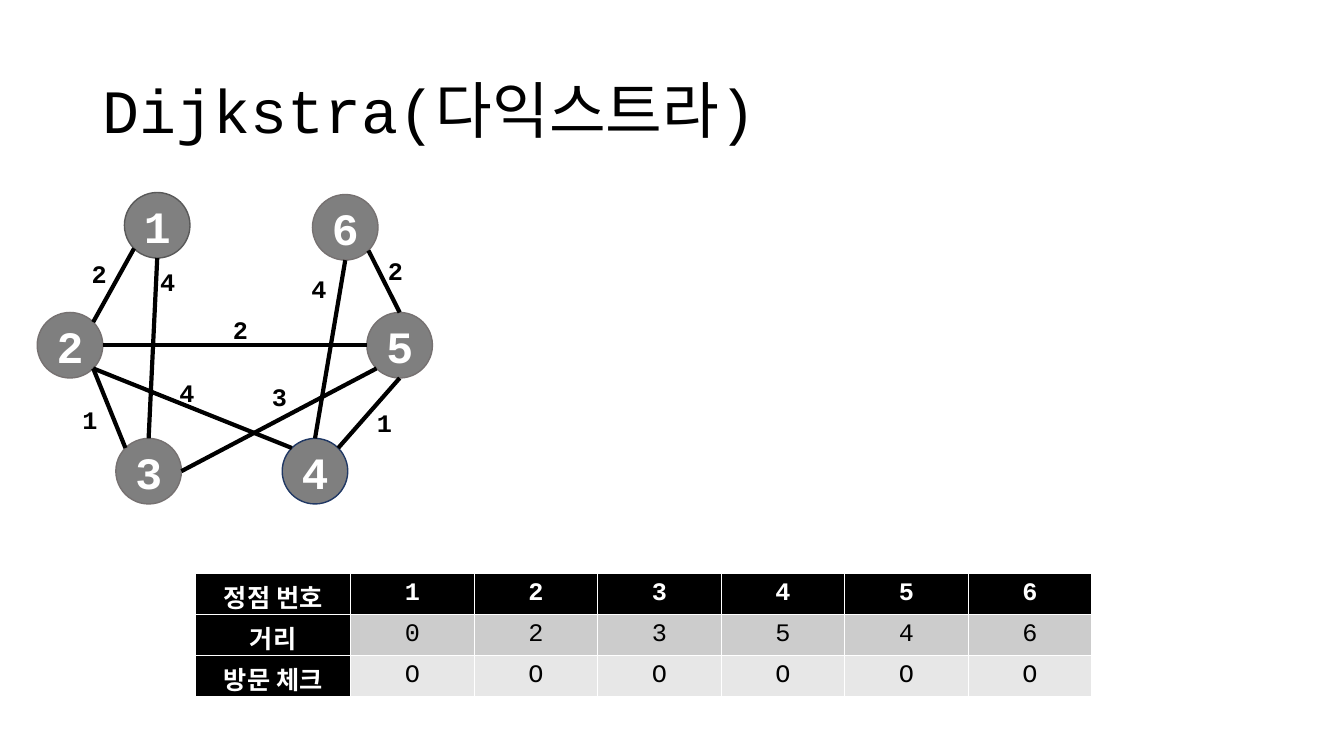
from dataclasses import dataclass
from math import cos, radians, sin

from lxml.etree import SubElement
from pptx import Presentation
from pptx.dml.color import RGBColor as Color
from pptx.enum.shapes import MSO_CONNECTOR as Connector, MSO_SHAPE as Shape
from pptx.enum.text import MSO_ANCHOR as Anchor, MSO_AUTO_SIZE as AutoSize, PP_ALIGN as Align
from pptx.oxml.ns import qn
from pptx.util import Inches, Pt


@dataclass(frozen=True)
class Theme:
    font: str = "Courier New"
    black: str = "000000"
    white: str = "FFFFFF"
    node: str = "7F7F7F"
    outline: str = "767171"
    distance: str = "CCCCCC"
    visited: str = "E7E7E7"
    title_size: int = 44
    node_size: int = 32
    text_size: int = 18


theme = Theme()


def add_run(para, text, size, color, bold):
    span = para.add_run()
    span.text = text
    span.font.name = theme.font
    span.font.size = Pt(size)
    span.font.bold = bold
    span.font.color.rgb = Color.from_string(color)


def rim_point(number, angle):
    """Point on a node's rim, with the angle clockwise from the right."""
    column, row = nodes[number][:2]
    turn = radians(angle)
    return (round(column * COLUMN + diameter / 2 * cos(turn)),
            round(row * ROW + diameter / 2 * sin(turn)))


deck = Presentation()
deck.slide_width, deck.slide_height = Inches(13.33), Inches(7.5)
page = deck.slides.add_slide(deck.slide_layouts[5])

# The slide is a grid of 100 columns and 100 rows
COLUMN, ROW = deck.slide_width / 100, deck.slide_height / 100

title = page.shapes.title
title.left, title.top = round(6.9 * COLUMN), round(5.33 * ROW)
title.width, title.height = round(86.25 * COLUMN), round(19.33 * ROW)
title.text_frame.vertical_anchor = Anchor.MIDDLE
para = title.text_frame.paragraphs[0]
para.alignment = Align.LEFT
para.line_spacing = 0.9
add_run(para, "Dijkstra(다익스트라)", theme.title_size, theme.black, False)

# Node: centre column, centre row, fill, outline
diameter = round(4.88 * COLUMN)
nodes = {
    1: (11.7, 29.8, "808080", "595959"),
    2: (5.21, 45.67, theme.node, theme.outline),
    3: (11.06, 62.33, theme.node, theme.outline),
    4: (23.44, 62.33, theme.node, "203864"),
    5: (29.74, 45.67, theme.node, theme.outline),
    6: (25.69, 30.07, theme.node, theme.outline),
}
for number, (column, row, fill, outline) in nodes.items():
    node = page.shapes.add_shape(
        Shape.OVAL, round(column * COLUMN - diameter / 2),
        round(row * ROW - diameter / 2), diameter, diameter)
    node.shadow.inherit = False
    node.fill.solid()
    node.fill.fore_color.rgb = Color.from_string(fill)
    node.line.color.rgb = Color.from_string(outline)
    node.line.width = Pt(1)
    node.text_frame.vertical_anchor = Anchor.MIDDLE
    para = node.text_frame.paragraphs[0]
    para.alignment = Align.CENTER
    add_run(para, str(number), theme.node_size, theme.white, True)

# Edge: (node, angle) at each end, weight, label column and row
RIGHT, BOTTOM_RIGHT, BOTTOM, BOTTOM_LEFT, LEFT, TOP_LEFT, TOP, TOP_RIGHT = range(0, 360, 45)
edges = [
    ((1, BOTTOM_LEFT), (2, TOP_RIGHT), 2, 6.08, 33.47),
    ((1, BOTTOM), (3, TOP), 4, 11.18, 34.53),
    ((5, LEFT), (2, RIGHT), 2, 16.58, 40.93),
    ((6, BOTTOM_RIGHT), (5, TOP), 2, 28.13, 33.07),
    ((4, TOP_RIGHT), (5, BOTTOM), 1, 27.3, 53.2),
    ((6, BOTTOM), (4, TOP), 4, 22.43, 35.47),
    ((2, BOTTOM_RIGHT), (3, TOP_LEFT), 1, 5.4, 52.8),
    ((4, TOP_LEFT), (2, BOTTOM_RIGHT), 4, 12.6, 49.2),
    ((3, RIGHT), (5, BOTTOM_LEFT), 3, 19.5, 49.73),
]
for start, end, weight, column, row in edges:
    edge = page.shapes.add_connector(Connector.STRAIGHT, *rim_point(*start), *rim_point(*end))
    edge.line.color.rgb = Color.from_string(theme.black)
    edge.line.width = Pt(3)
    SubElement(edge._element.spPr, qn("a:effectLst"))

    label = page.shapes.add_textbox(
        round(column * COLUMN), round(row * ROW), round(2.55 * COLUMN), round(5.33 * ROW))
    label.text_frame.word_wrap = False
    label.text_frame.auto_size = AutoSize.SHAPE_TO_FIT_TEXT
    add_run(label.text_frame.paragraphs[0], str(weight), theme.text_size, theme.black, True)

# The default table style draws the white borders
table_rows = [
    (theme.black, ["정점 번호", "1", "2", "3", "4", "5", "6"]),
    (theme.distance, ["거리", "0", "2", "3", "5", "4", "6"]),
    (theme.visited, ["방문 체크"] + ["O"] * 6),
]
head_width, column_width, row_height = 11.55, 9.19, 5.43
table = page.shapes.add_table(
    3, 7, round(14.55 * COLUMN), round(75.87 * ROW),
    round((head_width + 6 * column_width) * COLUMN), round(3 * row_height * ROW)).table
table.first_col = True
for index, table_column in enumerate(table.columns):
    table_column.width = round((column_width if index else head_width) * COLUMN)
for row_index, (fill, texts) in enumerate(table_rows):
    for column_index, text in enumerate(texts):
        heading = row_index == 0 or column_index == 0
        cell = table.cell(row_index, column_index)
        cell.fill.solid()
        cell.fill.fore_color.rgb = Color.from_string(theme.black if heading else fill)
        cell.vertical_anchor = Anchor.MIDDLE
        para = cell.text_frame.paragraphs[0]
        para.alignment = Align.CENTER
        add_run(para, text, theme.text_size, theme.white if heading else theme.black, heading)

deck.save("out.pptx")
